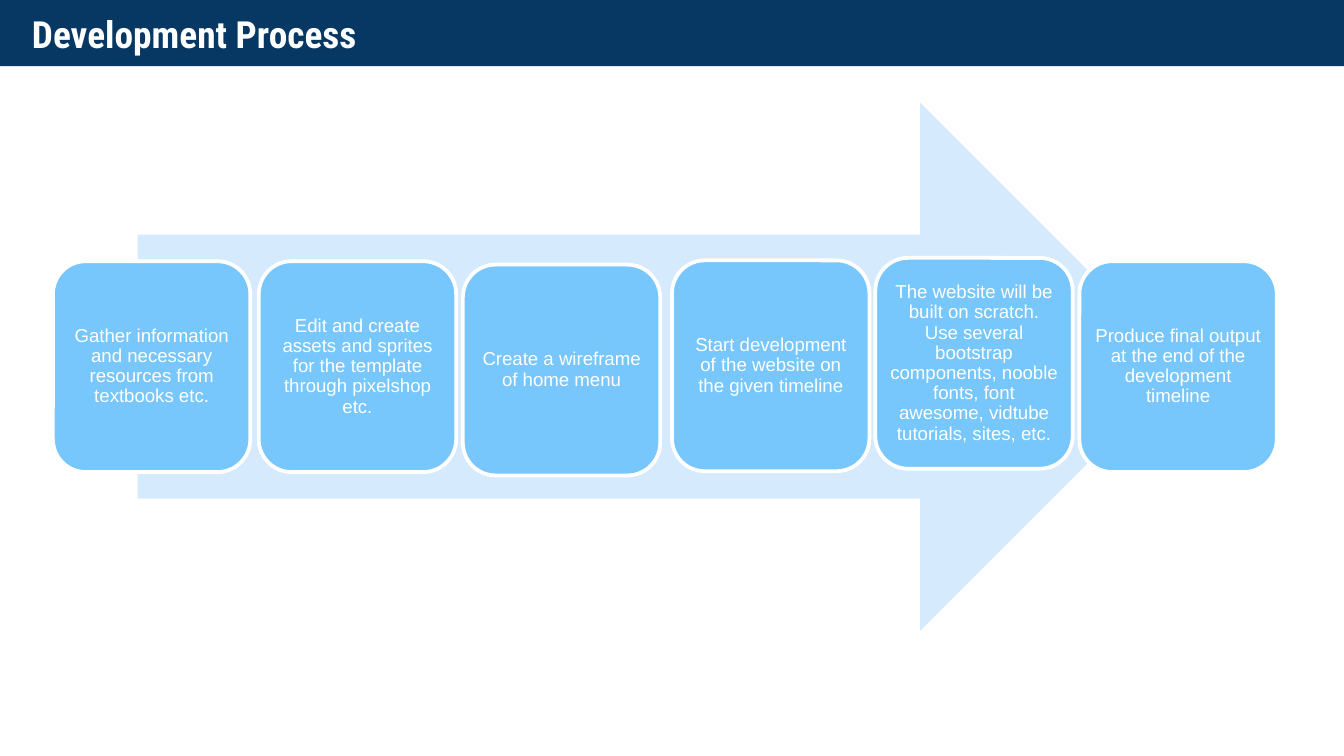
import pptx
import pptx.dml.color
import pptx.enum.shapes
import pptx.enum.text
import pptx.util

PX = 5715
SHAPE = pptx.enum.shapes.MSO_SHAPE
ALIGN = pptx.enum.text.PP_ALIGN
MIDDLE = pptx.enum.text.MSO_ANCHOR.MIDDLE
STEPS = [
    (0, 189, "Gather information and necessary resources from textbooks etc."),
    (245, 189, "Edit and create assets and sprites for the template through pixelshop etc."),
    (488, 193, "Create a wireframe of home menu"),
    (737, 188, "Start development of the website on the given timeline"),
    (979, 185, "The website will be built on scratch. Use several bootstrap components, "
               "nooble fonts, font awesome, vidtube tutorials, sites, etc."),
    (1222, 189, "Produce final output at the end of the development timeline"),
]


def color(code):
    """Turn a hex string into a colour."""
    return pptx.dml.color.RGBColor.from_string(code)


def block(shapes, kind, box, fill):
    """Add a flat filled shape without a line."""
    shape = shapes.add_shape(kind, *(n * PX for n in box))
    shape.shadow.inherit = False
    shape.fill.solid()
    shape.fill.fore_color.rgb = color(fill)
    shape.line.fill.background()
    return shape


def write(shape, text, size, face, align, inset):
    """Set white text in the middle of a shape and return its paragraph."""
    frame = shape.text_frame
    frame.text = text
    frame.word_wrap = True
    frame.auto_size = pptx.enum.text.MSO_AUTO_SIZE.NONE
    frame.vertical_anchor = MIDDLE
    frame.margin_left = frame.margin_right = inset * PX
    frame.margin_top = frame.margin_bottom = inset * PX
    line = frame.paragraphs[0]
    line.alignment = align
    line.font.size = pptx.util.Pt(size)
    line.font.name = face
    line.font.color.rgb = color("FFFFFF")
    return line


def header(slide, box, text):
    """Draw the title bar with the title placeholder on top of it."""
    left, top, width, height = box
    bar = block(slide.shapes, SHAPE.RECTANGLE, box, "073763")
    title = slide.shapes.title
    title._element.addprevious(bar._element)
    title.left, title.top = (left + 22) * PX, top * PX
    title.width, title.height = (width - 74) * PX, height * PX
    line = write(title, text, 20, "Roboto Condensed", ALIGN.LEFT, 16)
    line.font.bold = True
    line.line_spacing = 1.0


def process(slide, box, steps):
    """Draw the wide arrow and the row of step cards over it."""
    left, top, width, height = box
    group = slide.shapes.add_group_shape().shapes
    arrow = (left + 101, top, width - 211, height)
    block(group, SHAPE.RIGHT_ARROW, arrow, "D6EAFE")
    for x, y, text in steps:
        spot = (left + x, top + y, 235, 251)
        card = block(group, SHAPE.ROUNDED_RECTANGLE, spot, "77C6FC")
        card.line.color.rgb = color("FFFFFF")
        card.line.width = pptx.util.Pt(2)
        line = write(card, text, 10, "Arial", ALIGN.CENTER, 6)
        line.line_spacing = 0.9


def main():
    """Build and save the slide."""
    deck = pptx.Presentation()
    deck.slide_width, deck.slide_height = 1600 * PX, 900 * PX
    slide = deck.slides.add_slide(deck.slide_layouts[5])
    header(slide, (0, 0, 1600, 79), "Development Process")
    process(slide, (63, 122, 1457, 629), STEPS)
    deck.save("out.pptx")


if __name__ == "__main__":
    main()
